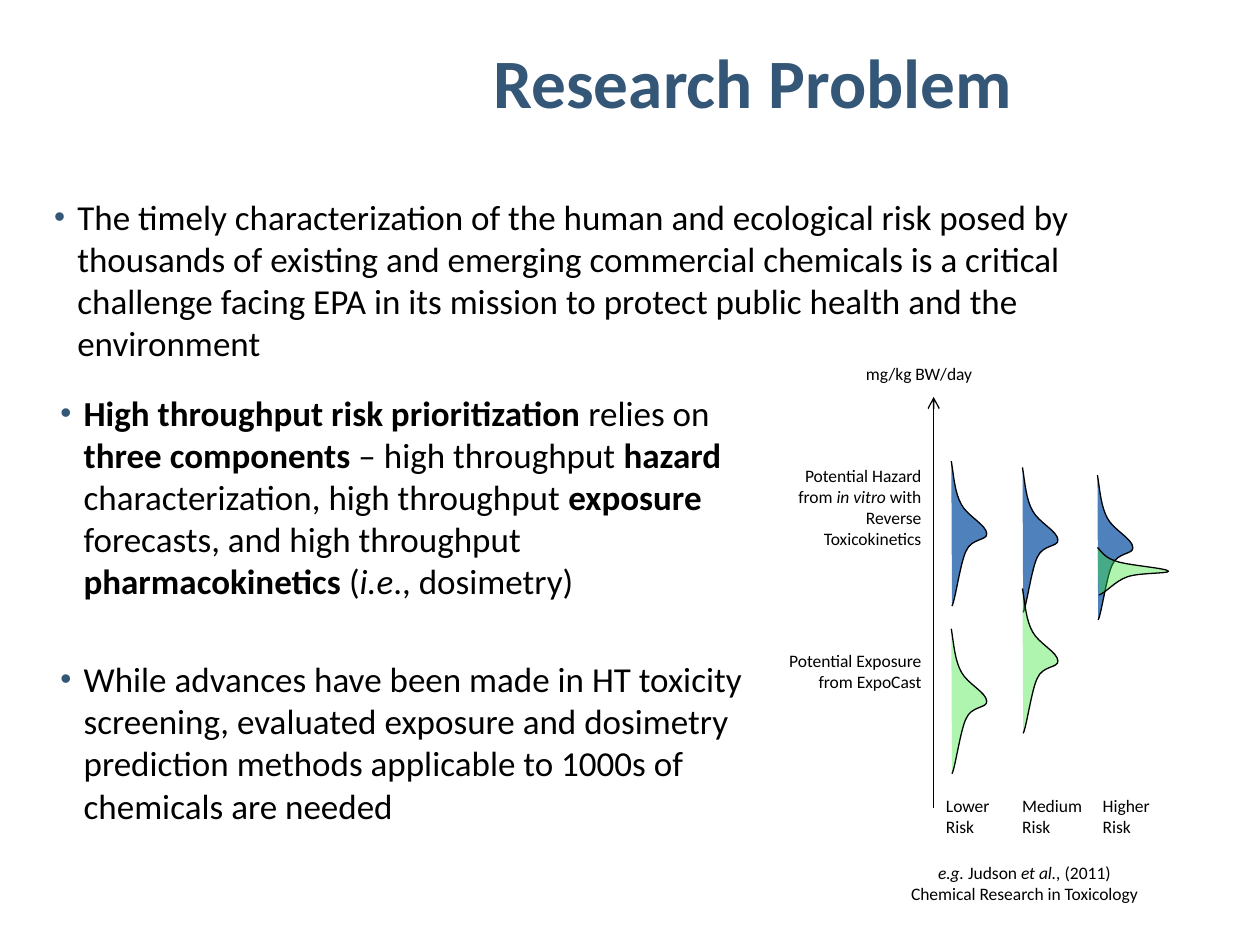
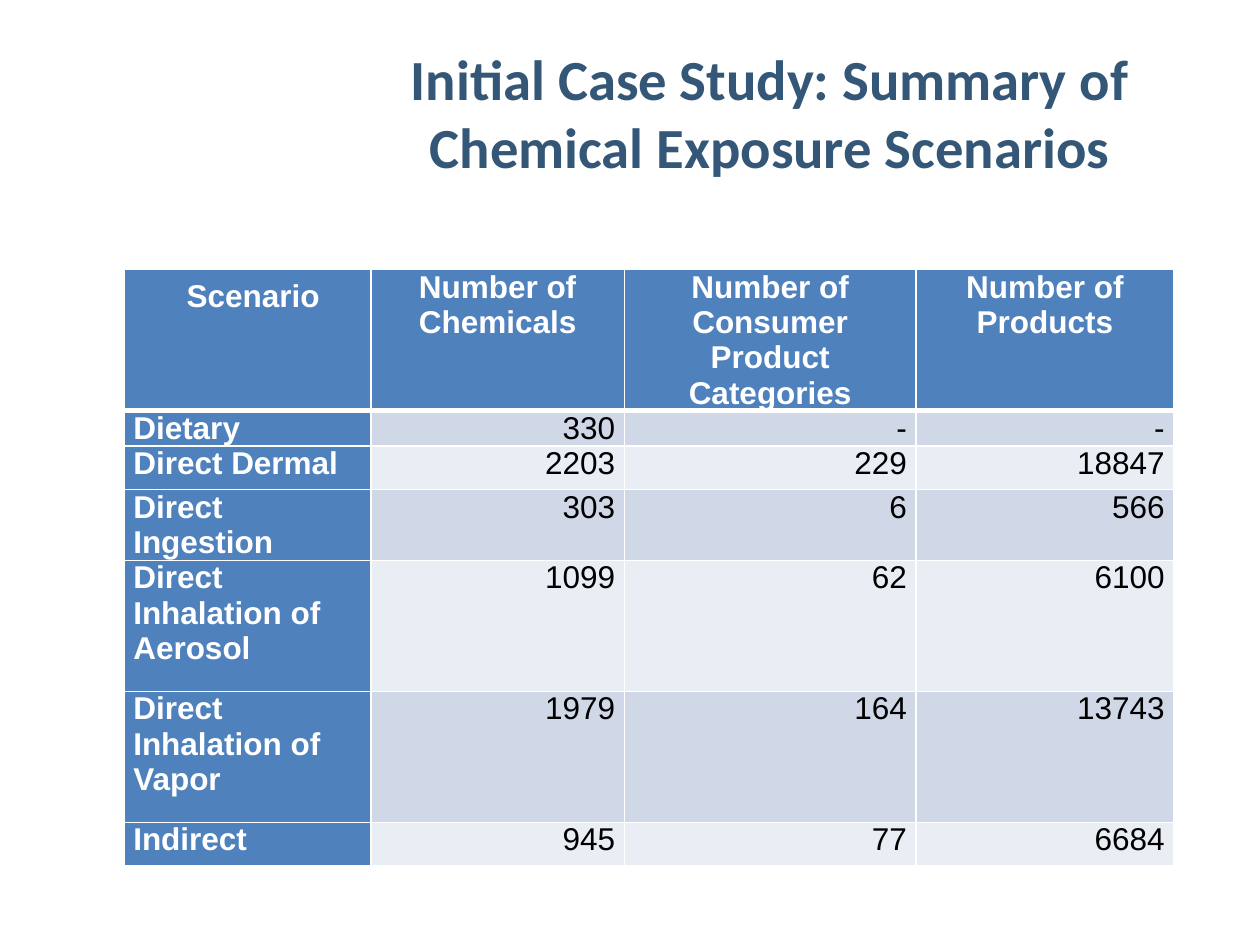
import dataclasses
import typing

import lxml.etree
import pptx
import pptx.dml.color
import pptx.enum.shapes
import pptx.enum.text
import pptx.oxml.ns
import pptx.util

ALIGN = pptx.enum.text.PP_ALIGN
ANCHOR = pptx.enum.text.MSO_ANCHOR
qn = pptx.oxml.ns.qn


# Theme: colours, fonts and type sizes
@dataclasses.dataclass(frozen=True)
class Theme:
    navy: str = "355777"
    blue: str = "4F81BD"
    green: str = "39E739"
    black: str = "000000"
    white: str = "FFFFFF"
    bands: tuple[str, str] = ("D0D8E8", "E9EDF4")
    font: str = "Calibri"
    grid_font: str = "Arial"
    head: float = 39.6
    long_head: float = 32.4
    body: float = 20
    small: float = 10
    cell: float = 18
    hair: float = 0.75


THEME = Theme()
COLS, ROWS = 100, 75
WIDE, HIGH = pptx.util.Inches(10), pptx.util.Inches(7.5)


# A box on the grid, in columns and rows
class Box(typing.NamedTuple):
    x: float
    y: float
    w: float
    h: float


class Note(typing.NamedTuple):
    text: str
    box: Box
    align: ALIGN = ALIGN.LEFT


# One risk level: its label, and where its two curves start
class Risk(typing.NamedTuple):
    name: str
    left: float
    x: float
    hazard: float
    dose: Box


def col(n: float) -> int:
    return round(WIDE * n / COLS)


def row(n: float) -> int:
    return round(HIGH * n / ROWS)


def place(box: Box) -> tuple[int, int, int, int]:
    return col(box.x), row(box.y), col(box.w), row(box.h)


def rgb(code: str) -> pptx.dml.color.RGBColor:
    return pptx.dml.color.RGBColor.from_string(code)


def write(frame, text: str, *, size: float, font: str = THEME.font,
          color: str = THEME.black, bold: bool = False,
          align: ALIGN = ALIGN.LEFT, gap: float = 0, bullet: bool = False) -> None:
    """Fill a frame: a line is a paragraph, *bold* and _italic_ mark runs."""
    frame.word_wrap = True
    for n, line in enumerate(text.split("\n")):
        para = frame.paragraphs[0] if n == 0 else frame.add_paragraph()
        if bullet:
            mark(para)
        para.alignment = align
        para.space_before = pptx.util.Pt(gap if n else 0)
        for b, part in enumerate(line.split("*")):
            for i, piece in enumerate(part.split("_")):
                if not piece:
                    continue
                run = para.add_run()
                run.text = piece
                run.font.name, run.font.size = font, pptx.util.Pt(size)
                run.font.bold = bold or b % 2 == 1
                run.font.italic = i % 2 == 1
                run.font.color.rgb = rgb(color)


def mark(para) -> None:
    """Give a paragraph a hanging navy bullet."""
    props = para._p.get_or_add_pPr()
    props.set("marL", str(col(1.84)))
    props.set("indent", str(-col(1.84)))
    tint = lxml.etree.SubElement(props, qn("a:buClr"))
    lxml.etree.SubElement(tint, qn("a:srgbClr"), val=THEME.navy)
    lxml.etree.SubElement(props, qn("a:buSzPct"), val="90000")
    lxml.etree.SubElement(props, qn("a:buFont"), typeface="Arial")
    lxml.etree.SubElement(props, qn("a:buChar"), char="•")


def fill_in(holder, text: str, box: Box, **look) -> None:
    """Move a placeholder and write its text."""
    holder.left, holder.top, holder.width, holder.height = place(box)
    holder.text_frame.auto_size = pptx.enum.text.MSO_AUTO_SIZE.NONE
    write(holder.text_frame, text, **look)


def start(deck, layout: int, title: str, box: Box, size: float):
    """Add a slide with its title."""
    slide = deck.slides.add_slide(deck.slide_layouts[layout])
    head = slide.shapes.title
    fill_in(head, title, box, size=size, color=THEME.navy, bold=True, align=ALIGN.CENTER)
    head.text_frame.vertical_anchor = ANCHOR.MIDDLE
    return slide


# Slide 1: bullets and the risk diagram
POINTS = (
    ("The timely characterization of the human and ecological risk posed by thousands "
     "of existing and emerging commercial chemicals is a critical challenge facing EPA "
     "in its mission to protect public health and the environment",
     Box(3.3, 15, 86.2, 14.8)),
    ("*High throughput risk prioritization* relies on *three components* – high "
     "throughput *hazard* characterization, high throughput *exposure* forecasts, and "
     "high throughput *pharmacokinetics* (_i.e_., dosimetry)\n"
     "While advances have been made in HT toxicity screening, evaluated exposure and "
     "dosimetry prediction methods applicable to 1000s of chemicals are needed",
     Box(3.8, 30.6, 57.1, 36)),
)

NOTES = (
    Note("mg/kg BW/day", Box(67.74, 28.3, 13.6, 3.3)),
    Note("Potential Hazard from _in vitro_ with Reverse Toxicokinetics",
         Box(60, 36.4, 14.1, 11.6), ALIGN.RIGHT),
    Note("Potential Exposure from ExpoCast", Box(60.6, 51.1, 13.5, 9.5), ALIGN.RIGHT),
    Note("_e.g._ Judson _et al.,_ (2011)\nChemical Research in Toxicology",
         Box(60.6, 67.9, 41.4, 5.4), ALIGN.CENTER),
)

BELL_W, BELL_H = 2.87, 11.5
RISKS = (
    Risk("Lower", 74.1, 75.5, 36.6, Box(75.5, 49.9, BELL_W, BELL_H)),
    Risk("Medium", 80.14, 81.15, 37.1, Box(81.15, 46.7, BELL_W, BELL_H)),
    Risk("Higher", 86.54, 87.1, 37.7, Box(87.1, 43.45, 5.75, 3.78)),
)

# Bell outline in a unit box: a start, then three points for each curve
BELL = ((0, 0), (0.07, 0.11), (0.1, 0.22), (0.28, 0.3),
        (0.45, 0.38), (0.97, 0.44), (0.98, 0.5),
        (1, 0.55), (0.56, 0.53), (0.41, 0.62),
        (0.25, 0.7), (0.11, 0.96), (0.02, 1))


def bend(shape) -> None:
    """Turn every three straight steps of an outline into one cubic curve."""
    steps = list(shape.element.iter(qn("a:lnTo")))
    for k in range(0, len(steps), 3):
        curve = lxml.etree.Element(qn("a:cubicBezTo"))
        steps[k].addprevious(curve)
        for step in steps[k:k + 3]:
            curve.append(step[0])
            step.getparent().remove(step)


def bell(slide, box: Box, color: str, alpha: int = 100) -> None:
    dots = [(col(box.x + box.w * x), row(box.y + box.h * y)) for x, y in BELL]
    outline = slide.shapes.build_freeform(*dots[0])
    outline.add_line_segments(dots[1:], close=False)
    shape = outline.convert_to_shape()
    bend(shape)
    shape.shadow.inherit = False
    shape.fill.solid()
    shape.fill.fore_color.rgb = rgb(color)
    if alpha < 100:
        tint = shape.element.spPr.find(qn("a:solidFill"))[0]
        lxml.etree.SubElement(tint, qn("a:alpha"), val=str(alpha * 1000))
    shape.line.color.rgb = rgb(THEME.black)
    shape.line.width = pptx.util.Pt(THEME.hair)


def axis_line(slide, x: float, low: float, high: float) -> None:
    line = slide.shapes.add_connector(pptx.enum.shapes.MSO_CONNECTOR.STRAIGHT,
                                      col(x), row(low), col(x), row(high))
    line.line.color.rgb = rgb(THEME.black)
    line.line.width = pptx.util.Pt(THEME.hair)
    props = line.element.spPr
    lxml.etree.SubElement(props.find(qn("a:ln")), qn("a:tailEnd"), type="arrow")
    lxml.etree.SubElement(props, qn("a:effectLst"))


def label(slide, note: Note) -> None:
    frame = slide.shapes.add_textbox(*place(note.box)).text_frame
    write(frame, note.text, size=THEME.small, align=note.align)


def problem(deck) -> None:
    slide = start(deck, 3, "Research Problem", Box(26, 2.65, 67.5, 7.5), THEME.head)
    for spot, (text, box) in enumerate(POINTS, 1):
        fill_in(slide.placeholders[spot], text, box, size=THEME.body, gap=32, bullet=True)
    axis_line(slide, 74.1, 64.1, 31.5)
    for note in NOTES:
        label(slide, note)
    for risk in RISKS:
        bell(slide, Box(risk.x, risk.hazard, BELL_W, BELL_H), THEME.blue)
        bell(slide, risk.dose, THEME.green, alpha=40)
        label(slide, Note(f"{risk.name}\nRisk", Box(risk.left, 62.6, 7, 4.4)))


# Slide 2: the scenario table
HEADS = ("Scenario", "Number of Chemicals", "Number of Consumer Product Categories",
         "Number of Products")
DATA = (
    ("Dietary", "330", "-", "-"),
    ("Direct Dermal", "2203", "229", "18847"),
    ("Direct Ingestion", "303", "6", "566"),
    ("Direct Inhalation of Aerosol", "1099", "62", "6100"),
    ("Direct Inhalation of Vapor", "1979", "164", "13743"),
    ("Indirect", "945", "77", "6684"),
)
WIDTHS = (19.6, 20.1, 23.16, 20.46)
HEIGHTS = (11.2, 2.8, 3.46, 5.58, 10.4, 10.4, 3.46)


def edge(cell, **widths: float) -> None:
    """White borders, by side, in points."""
    props = cell._tc.get_or_add_tcPr()
    for side, width in widths.items():
        line = lxml.etree.SubElement(props, qn(f"a:ln{side}"),
                                     w=str(pptx.util.Pt(width)))
        paint = lxml.etree.SubElement(line, qn("a:solidFill"))
        lxml.etree.SubElement(paint, qn("a:srgbClr"), val=THEME.white)


def study(deck) -> None:
    slide = start(deck, 5, "Initial Case Study: Summary of Chemical Exposure Scenarios",
                  Box(27.2, 2.65, 67.8, 12.5), THEME.long_head)
    box = Box(9.85, 21.4, sum(WIDTHS), sum(HEIGHTS))
    table = slide.shapes.add_table(len(HEIGHTS), len(WIDTHS), *place(box)).table
    for part, width in zip(table.columns, WIDTHS):
        part.width = col(width)
    for part, height in zip(table.rows, HEIGHTS):
        part.height = row(height)
    for r, texts in enumerate((HEADS, *DATA)):
        for c, text in enumerate(texts):
            cell = table.cell(r, c)
            head = r == 0 or c == 0
            edge(cell, L=1, R=1, T=3 if r == 1 else 1, B=3 if r == 0 else 1)
            cell.fill.solid()
            cell.fill.fore_color.rgb = rgb(THEME.blue if head else THEME.bands[(r - 1) % 2])
            cell.margin_left = cell.margin_right = col(0.73)
            cell.margin_top = cell.margin_bottom = 0
            align = ALIGN.CENTER if r == 0 else ALIGN.RIGHT if c else ALIGN.LEFT
            write(cell.text_frame, text, size=THEME.cell, font=THEME.grid_font, bold=head,
                  color=THEME.white if head else THEME.black, align=align)
    corner = table.cell(0, 0)
    corner.margin_left, corner.margin_top = col(1.6), row(0.7)


def main() -> None:
    deck = pptx.Presentation()
    deck.slide_width, deck.slide_height = WIDE, HIGH
    problem(deck)
    study(deck)
    deck.save("out.pptx")


if __name__ == "__main__":
    main()
